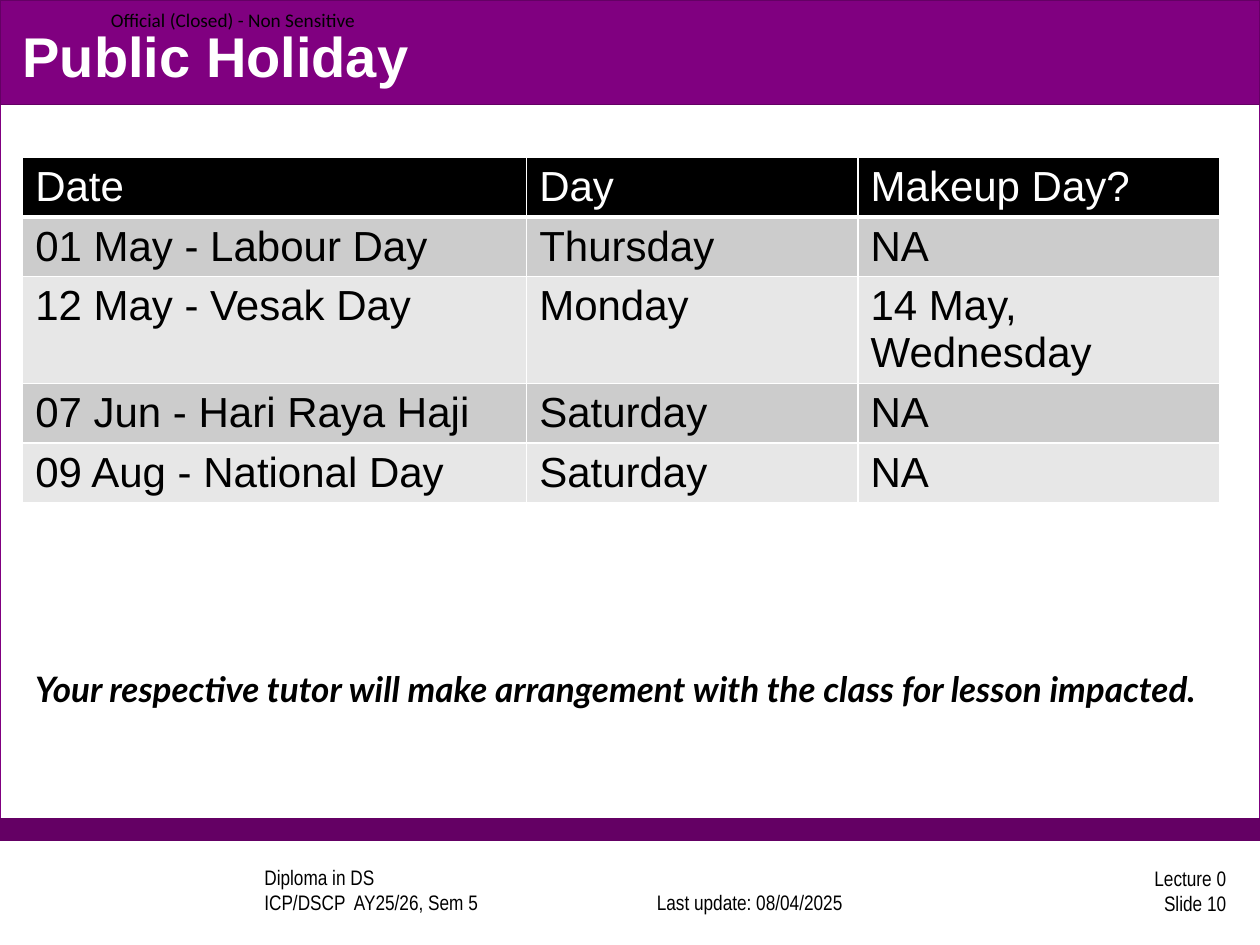
from pptx import Presentation
from pptx.util import Inches, Pt
from pptx.dml.color import RGBColor
from pptx.enum.shapes import MSO_SHAPE
from pptx.enum.text import MSO_ANCHOR, PP_ALIGN
from pptx.oxml import parse_xml
from pptx.oxml.ns import nsdecls

# Content
TITLE = "Public Holiday"
ROWS = [
    ("Date", "Day", "Makeup Day?"),
    ("01 May - Labour Day", "Thursday", "NA"),
    ("12 May - Vesak Day", "Monday", "14 May, Wednesday"),
    ("07 Jun - Hari Raya Haji", "Saturday", "NA"),
    ("09 Aug - National Day", "Saturday", "NA"),
]
COLS = (4, 2.63, 2.87)
HEIGHTS = (0.47, 0.47, 0.85, 0.47, 0.47)
COLORS = {"white": "FFFFFF", "black": "000000", "purple": "800080",
          "dark": "640064", "odd": "CCCCCC", "even": "E7E7E7"}
# Bands: box, fill, line
BANDS = [
    ((0, 0, 10, 6.67), "white", "purple"),
    ((0, 6.5, 10, 0.17), "dark", "dark"),
    ((0, 0, 10, 0.83), "purple", "dark"),
]
# Texts: box, lines, font, size, bold italic, align, anchor, side inset
LEFT, MID, RIGHT = PP_ALIGN.LEFT, PP_ALIGN.CENTER, PP_ALIGN.RIGHT
TOP, CENTER, BOTTOM = MSO_ANCHOR.TOP, MSO_ANCHOR.MIDDLE, MSO_ANCHOR.BOTTOM
TEXTS = [
    ((2, 6.89, 2.67, 0.42), ("Diploma in DS", "ICP/DSCP  AY25/26, Sem 5"),
     "Arial Narrow", 12, False, LEFT, BOTTOM, 0.1),
    ((4.91, 6.89, 2.08, 0.42), ("Last update: 08/04/2025",),
     "Arial Narrow", 12, False, MID, BOTTOM, 0.1),
    ((7.75, 6.86, 2.08, 0.42), ("Lecture 0", "Slide 10"),
     "Arial Narrow", 12, False, RIGHT, CENTER, 0.1),
    ((0.88, 0, 2.13, 0.31), ("Official (Closed) - Non Sensitive",),
     "Calibri", 11, False, LEFT, CENTER, 0),
    ((0.18, 5.25, 9.75, 0.44),
     ("Your respective tutor will make arrangement with the class "
      "for lesson impacted.",),
     "Lato", 20, True, LEFT, TOP, 0.1),
]


def rgb(name):
    return RGBColor.from_string(COLORS[name])


def add_run(para, text, font, size, color, bold=False, italic=False):
    run = para.add_run()
    run.text = text
    face = run.font
    face.name, face.size = font, Pt(size)
    face.bold, face.italic = bold, italic
    face.color.rgb = rgb(color)


def add_band(slide, box, fill, line):
    band = slide.shapes.add_shape(MSO_SHAPE.RECTANGLE, *map(Inches, box))
    band.shadow.inherit = False
    band.fill.solid()
    band.fill.fore_color.rgb = rgb(fill)
    band.line.color.rgb = rgb(line)
    band.line.width = Pt(0.75)


def add_text(slide, box, lines, font, size, strong, align, anchor, inset):
    frame = slide.shapes.add_textbox(*map(Inches, box)).text_frame
    frame.word_wrap = True
    frame.vertical_anchor = anchor
    frame.margin_left = frame.margin_right = Inches(inset)
    para = frame.paragraphs[0]
    para.alignment = align
    for i, line in enumerate(lines):
        if i:
            para.add_line_break()
        add_run(para, line, font, size, "black", strong, strong)


def set_title(slide):
    title = slide.shapes.title
    title.left, title.top, title.width, title.height = map(
        Inches, (0.08, 0.13, 9.83, 0.62))
    # Bring the title in front of the bands
    slide.shapes._spTree.append(title._element)
    title.text_frame.vertical_anchor = CENTER
    para = title.text_frame.paragraphs[0]
    para.alignment = LEFT
    add_run(para, TITLE, "Arial", 32, "white", True)


def set_borders(cell, base):
    props = cell._tc.get_or_add_tcPr()
    for i, side in enumerate(("lnL", "lnR", "lnT", "lnB")):
        width = Pt(base if side == "lnB" else 1)
        props.insert(i, parse_xml(
            f'<a:{side} {nsdecls("a")} w="{width}"><a:solidFill>'
            f'<a:srgbClr val="{COLORS["white"]}"/></a:solidFill></a:{side}>'))


def add_grid(slide):
    box = (0.18, 1.25, sum(COLS), sum(HEIGHTS))
    table = slide.shapes.add_table(
        len(ROWS), len(COLS), *map(Inches, box)).table
    for col, width in zip(table.columns, COLS):
        col.width = Inches(width)
    for r, texts in enumerate(ROWS):
        table.rows[r].height = Inches(HEIGHTS[r])
        fill = "black" if r == 0 else ("odd" if r % 2 else "even")
        for c, text in enumerate(texts):
            cell = table.cell(r, c)
            cell.fill.solid()
            cell.fill.fore_color.rgb = rgb(fill)
            set_borders(cell, 1 if r else 3)
            add_run(cell.text_frame.paragraphs[0], text, "Arial", 24,
                    "black" if r else "white")


def main():
    deck = Presentation()
    deck.slide_width, deck.slide_height = Inches(10), Inches(7.5)
    slide = deck.slides.add_slide(deck.slide_layouts[5])
    for band in BANDS:
        add_band(slide, *band)
    for text in TEXTS:
        add_text(slide, *text)
    set_title(slide)
    add_grid(slide)
    deck.save("out.pptx")


if __name__ == "__main__":
    main()
